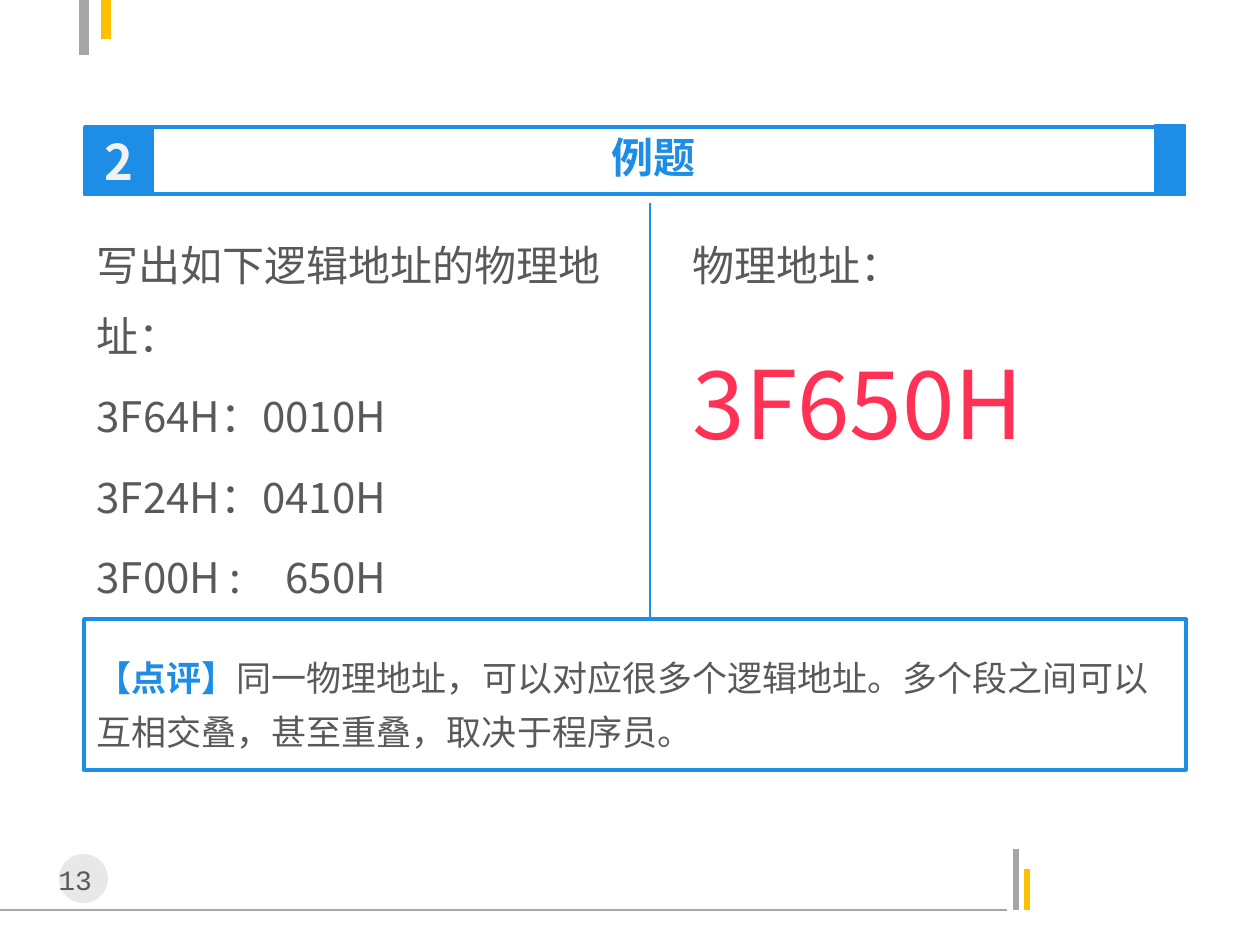
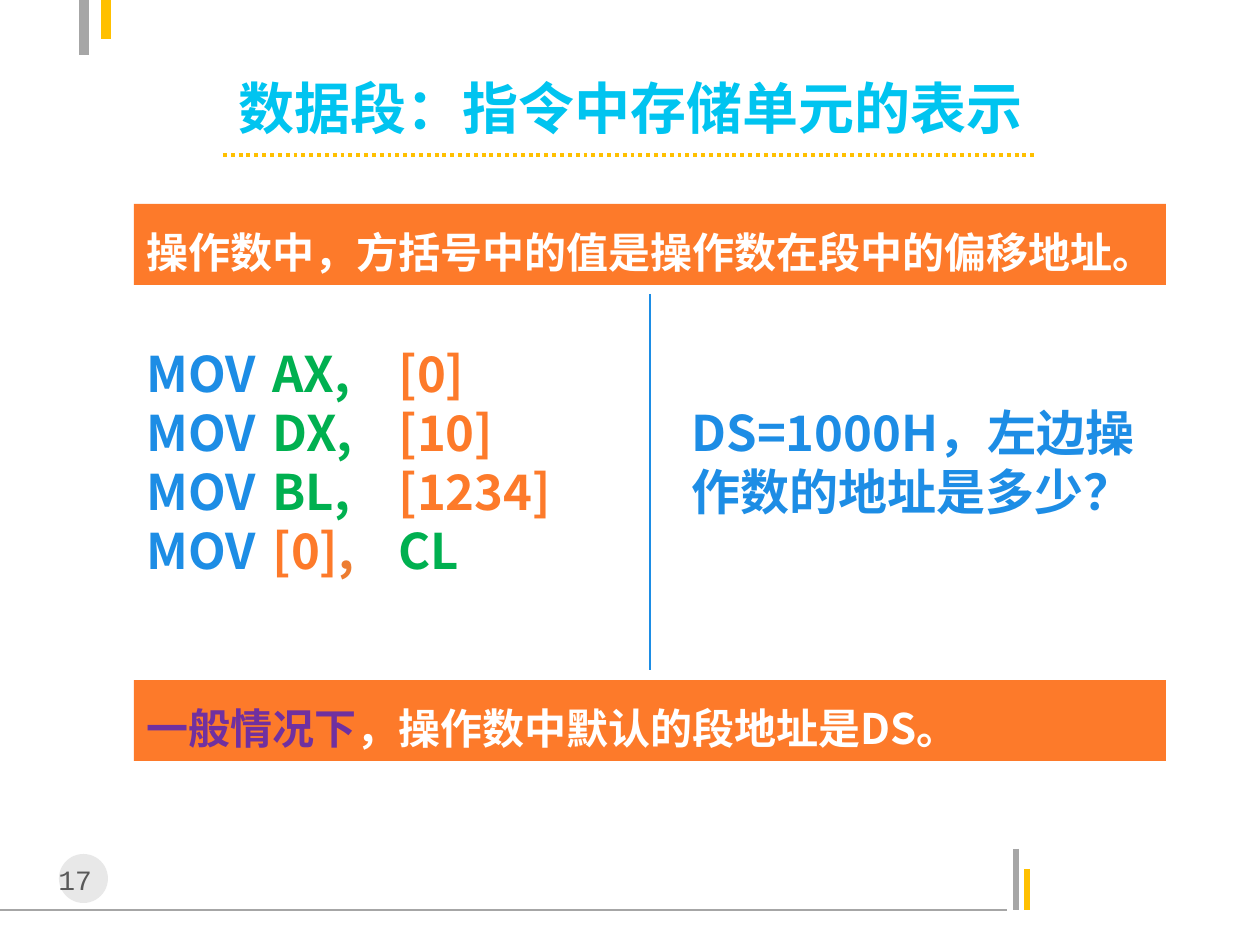
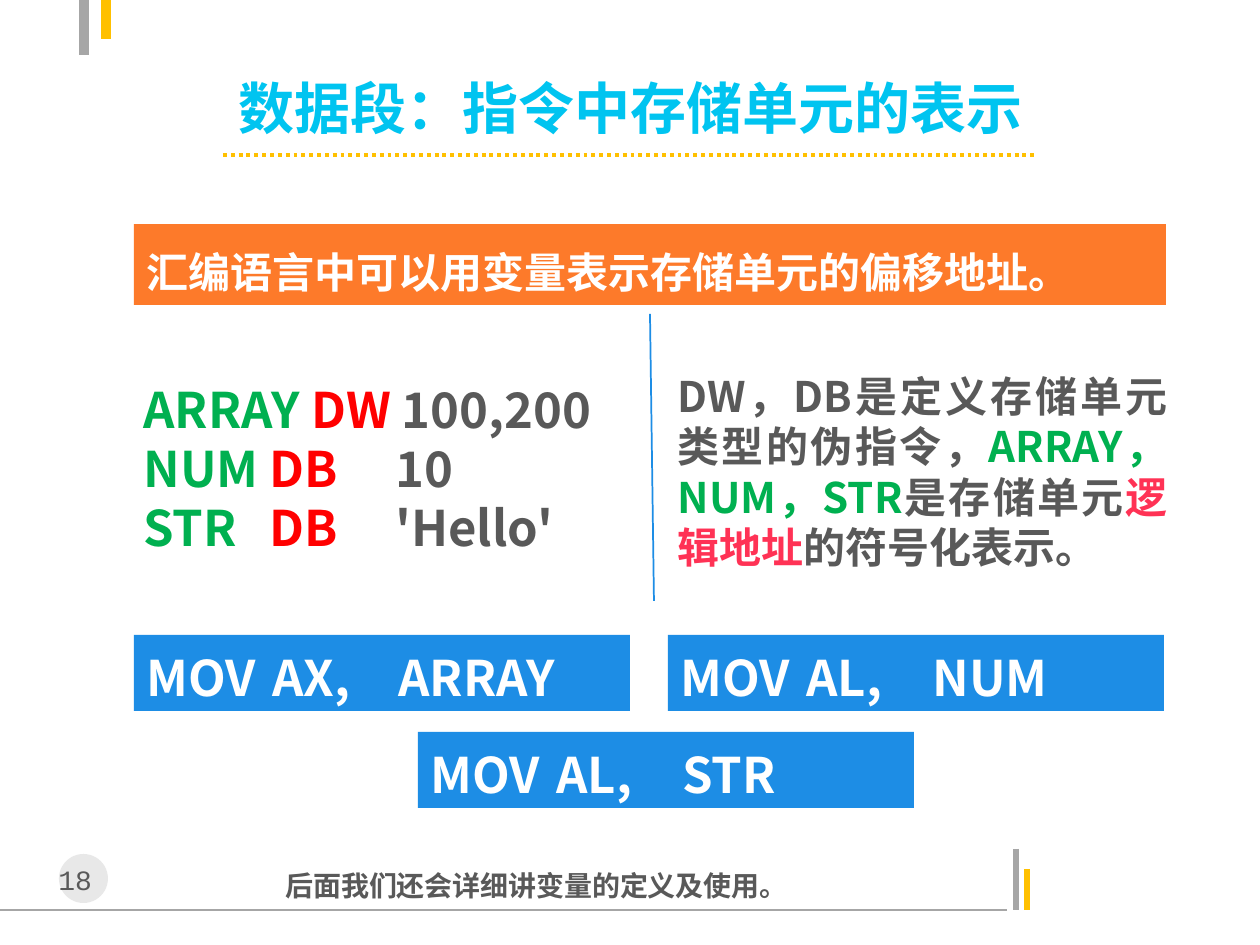
from lxml import etree
from pptx import Presentation
from pptx import util as u
from pptx.dml import color as dml
from pptx.enum import dml as dml_enum, shapes, text
from pptx.oxml import ns

SCALE = 914400 / 126
FONT = "Noto Sans CJK SC"
COLORS = {
    "blue": "1D8DE5", "cyan": "00C4F0", "orange": "FD7A2A", "comma": "ED7D31",
    "green": "00B050", "red": "FF0000", "pink": "FF3255", "purple": "7030A0",
    "white": "FFFFFF", "pale": "F2F2F2", "text": "595959", "gray": "A6A6A6",
    "badge": "BFBFBF", "gold": "FFC000",
}
STORAGE_TITLE = "数据段：指令中存储单元的表示"
BAR_LEFT, BAR_WIDTH, HALF_WIDTH = 134, 1032, 496
BODY = {"size": 24, "spacing": 1.39, "after": 6}
CODE = {"size": 28, "bold": True}


def px(length):
    """Turn a pixel length into EMU."""
    return u.Emu(round(length * SCALE))


def rgb(name):
    """Look up a named colour."""
    return dml.RGBColor.from_string(COLORS[name])


def child(parent, tag, **attributes):
    """Append a DrawingML element with attributes."""
    return etree.SubElement(parent, ns.qn(tag), **attributes)


def write(shape, runs, size=24, color="text", bold=False, font=FONT, align="LEFT",
          spacing=1.0, after=0, tabs=()):
    """Append one paragraph made of a string or (string, colour) runs."""
    frame = shape.text_frame
    paragraph = frame.paragraphs[0]
    if paragraph.runs:
        paragraph = frame.add_paragraph()
    properties = paragraph._p.get_or_add_pPr()
    properties.set("marL", "0")
    properties.set("indent", "0")
    child(properties, "a:buNone")
    if tabs:
        tab_list = child(properties, "a:tabLst")
        for stop in tabs:
            child(tab_list, "a:tab", pos=str(px(stop)), algn="l")
    paragraph.alignment = getattr(text.PP_ALIGN, align)
    paragraph.line_spacing = spacing
    paragraph.space_before = u.Pt(0)
    paragraph.space_after = u.Pt(after)
    for content, run_color, *weight in [(runs, color)] if isinstance(runs, str) else runs:
        run = paragraph.add_run()
        run.text = content
        run.font.size = u.Pt(size)
        run.font.bold = weight[0] if weight else bold
        run.font.color.rgb = rgb(run_color)
        run.font.name = font
        child(run._r.get_or_add_rPr(), "a:ea", typeface=font)


def set_frame(shape, anchor="TOP"):
    """Give a shape's text the shared frame settings."""
    frame = shape.text_frame
    frame.word_wrap = True
    frame.auto_size = text.MSO_AUTO_SIZE.NONE
    frame.vertical_anchor = getattr(text.MSO_ANCHOR, anchor)
    frame.margin_left = frame.margin_right = u.Inches(0.1)
    frame.margin_top = frame.margin_bottom = u.Inches(0.05)
    return shape


def place(placeholder, left, top, width, height, anchor="TOP"):
    """Move a placeholder and set its frame."""
    placeholder.left, placeholder.top = px(left), px(top)
    placeholder.width, placeholder.height = px(width), px(height)
    return set_frame(placeholder, anchor)


def add_text(slide, left, top, width, height):
    """Add an empty text box."""
    return set_frame(slide.shapes.add_textbox(px(left), px(top), px(width), px(height)))


def add_box(slide, left, top, width, height, fill=None, line=None, weight=0.75,
            anchor="TOP", kind="RECTANGLE"):
    """Add a preset shape with optional fill and outline."""
    shape = slide.shapes.add_shape(getattr(shapes.MSO_SHAPE, kind),
                                   px(left), px(top), px(width), px(height))
    shape.shadow.inherit = False
    if fill:
        shape.fill.solid()
        shape.fill.fore_color.rgb = rgb(fill)
    else:
        shape.fill.background()
    if line:
        shape.line.color.rgb = rgb(line)
        shape.line.width = u.Pt(weight)
    else:
        shape.line.fill.background()
    return set_frame(shape, anchor)


def add_line(slide, x1, y1, x2, y2, color="blue", weight=1):
    """Add a straight line without a shadow."""
    line = slide.shapes.add_connector(shapes.MSO_CONNECTOR.STRAIGHT,
                                      px(x1), px(y1), px(x2), px(y2))
    line.line.color.rgb = rgb(color)
    line.line.width = u.Pt(weight)
    child(line._element.spPr, "a:effectLst")
    return line


def add_slide(presentation, number):
    """Add a two-column slide with the shared marks and page number."""
    slide = presentation.slides.add_slide(presentation.slide_layouts[3])
    add_line(slide, 0, 910, 1007, 910, "gray", 0.75)
    for x, top, bottom, color, weight in (
            (1016, 849, 910, "gray", 3), (1027, 869, 910, "gold", 3),
            (84, 0, 55, "gray", 6), (106, 0, 39, "gold", 6)):
        add_line(slide, x, top, x, bottom, color, weight)
    badge = add_box(slide, 59, 854, 49, 49, "badge", kind="OVAL")
    fill_color = badge._element.spPr.find(".//" + ns.qn("a:srgbClr"))
    child(fill_color, "a:alpha", val="35000")
    write(add_text(slide, 46, 856, 89, 47), str(number), size=16, font="Courier New")
    return slide


def add_storage_title(slide):
    """Fill the storage title and underline it with dots."""
    title = place(slide.shapes.title, 174, 76, 914, 63, "MIDDLE")
    write(title, STORAGE_TITLE, size=32, color="cyan", bold=True, align="CENTER")
    underline = add_line(slide, 223, 155, 1037, 155, "gold", 2.25)
    underline.line.dash_style = dml_enum.MSO_LINE.ROUND_DOT


def add_banner(slide, top, runs):
    """Add a full-width orange statement bar."""
    bar = add_box(slide, BAR_LEFT, top, BAR_WIDTH, 81, "orange")
    write(bar, runs, color="white", bold=True, spacing=1.33)


def build_example(presentation):
    """Build the worked address example."""
    slide = add_slide(presentation, 13)
    title, question, answer = slide.placeholders
    place(question, 84, 214, 547, 398)
    for line in ("写出如下逻辑地址的物理地址：", "3F64H：0010H", "3F24H：0410H", "3F00H :\t650H"):
        write(question, line, tabs=(162,), **BODY)
    place(answer, 680, 214, 507, 253)
    write(answer, "物理地址：", **BODY)
    write(answer, "3F650H", **{**BODY, "size": 54, "color": "pink"})

    for y in (127, 194):
        add_line(slide, 84, y, 1186, y, weight=2.25)
    number = add_box(slide, 84, 127, 69, 68, "blue", "blue", anchor="MIDDLE")
    write(number, "2", color="pale", align="CENTER", **CODE)
    add_box(slide, 1155, 125, 30, 68, "blue", "blue")
    write(place(title, 154, 125, 1000, 63), "例题", color="blue", bold=True, align="CENTER")

    add_line(slide, 650, 203, 650, 619)
    add_box(slide, 84, 619, 1102, 151, line="blue", weight=2)
    comment = add_text(slide, 84, 638, 1102, 122)
    write(comment, [("【点评】", "blue", True),
                    ("同一物理地址，可以对应很多个逻辑地址。多个段之间可以互相交叠，甚至重叠，取决于程序员。",
                     "text")], size=20, spacing=1.29)


def build_brackets(presentation):
    """Build the slide on bracketed offsets."""
    slide = add_slide(presentation, 17)
    _, code, question = slide.placeholders
    add_storage_title(slide)
    place(code, BAR_LEFT, 311, HALF_WIDTH, 301, "MIDDLE")
    for column, operands in (
            (264, [("AX,\t", "green"), ("[0]", "orange")]),
            (264, [("DX,\t", "green"), ("[10]", "orange")]),
            (275, [("BL,\t", "green"), ("[1234]", "orange")]),
            (278, [("[0]", "orange"), (",\t", "comma"), ("CL", "green")])):
        write(code, [("MOV\t", "blue"), *operands], tabs=(152, column), **CODE)
    place(question, 679, 311, HALF_WIDTH, 301, "MIDDLE")
    for line in ("DS=1000H，左边操", "作数的地址是多少？"):
        write(question, line, color="blue", **CODE)
    add_banner(slide, 204, "操作数中，方括号中的值是操作数在段中的偏移地址。")
    add_line(slide, 650, 294, 650, 670)
    add_banner(slide, 680, [("一般情况下", "purple"), ("，操作数中默认的段地址是DS。", "white")])


def build_variables(presentation):
    """Build the slide on variables as offsets."""
    slide = add_slide(presentation, 18)
    _, code, meaning = slide.placeholders
    add_storage_title(slide)
    place(code, 131, 349, 508, 238, "MIDDLE")
    for name, directive, value in (("ARRAY ", "DW ", "100,200"),
                                   ("NUM\t", "DB\t", "10"),
                                   ("STR\t", "DB\t", "'Hello'")):
        write(code, [(name, "green"), (directive, "red"), (value, "text")],
              tabs=(158, 250), **CODE)
    place(meaning, 665, 364, 515, 217)
    write(meaning, [("DW，DB是定义存储单元类型的伪指令，", "text"), ("ARRAY，NUM，STR", "green"),
                    ("是存储单元", "text"), ("逻辑地址", "pink"), ("的符号化表示。", "text")],
          bold=True, align="JUSTIFY")
    add_banner(slide, 224, "汇编语言中可以用变量表示存储单元的偏移地址。")
    add_line(slide, 650, 314, 654, 601)
    for left, top, instruction in ((BAR_LEFT, 635, "MOV\tAX,\tARRAY"),
                                   (668, 635, "MOV\tAL,\tNUM"),
                                   (418, 732, "MOV\tAL,\tSTR")):
        bar = add_box(slide, left, top, HALF_WIDTH, 76, "blue", anchor="MIDDLE")
        write(bar, instruction, color="white", spacing=1.14, tabs=(141, 240), **CODE)
    write(add_text(slide, 273, 852, 714, 57), "后面我们还会详细讲变量的定义及使用。",
          size=16, bold=True, spacing=1.3)


def main():
    """Build and save the presentation."""
    presentation = Presentation()
    presentation.slide_width, presentation.slide_height = u.Inches(10), u.Inches(7.5)
    build_example(presentation)
    build_brackets(presentation)
    build_variables(presentation)
    presentation.save("out.pptx")


if __name__ == "__main__":
    main()
